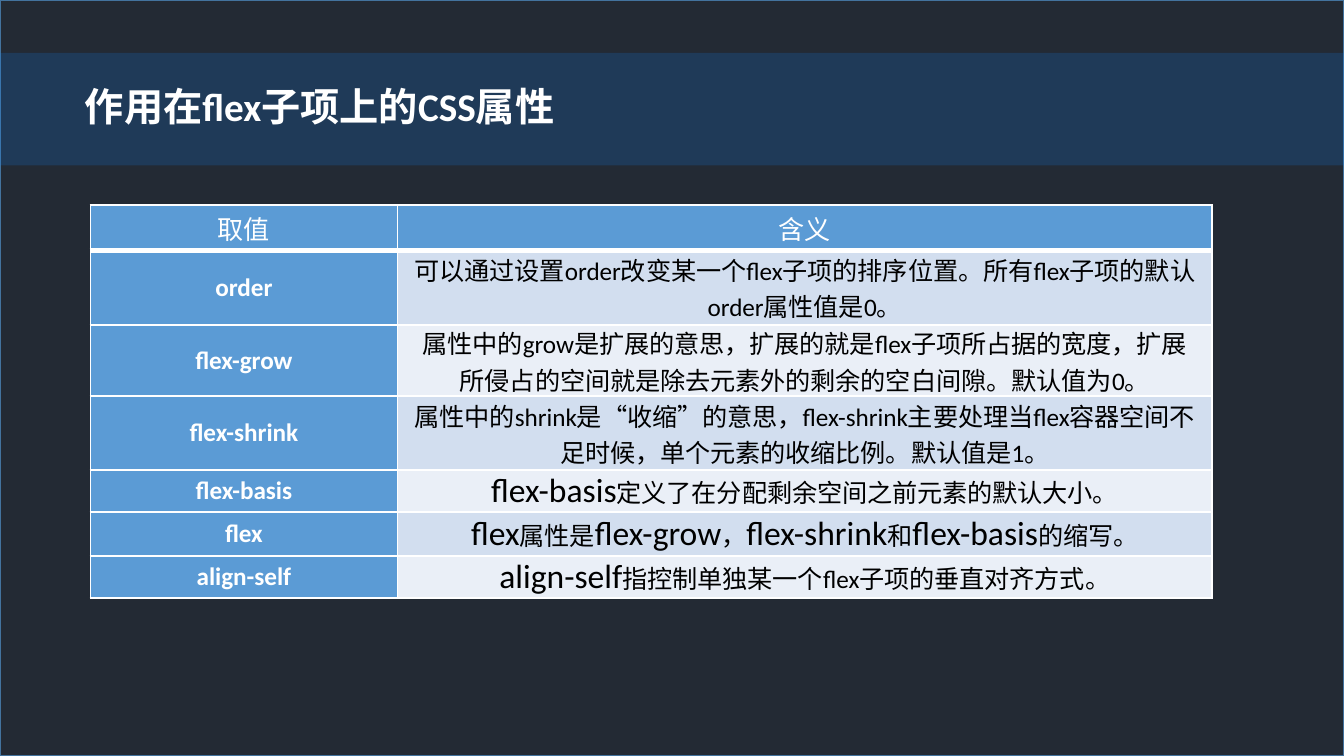
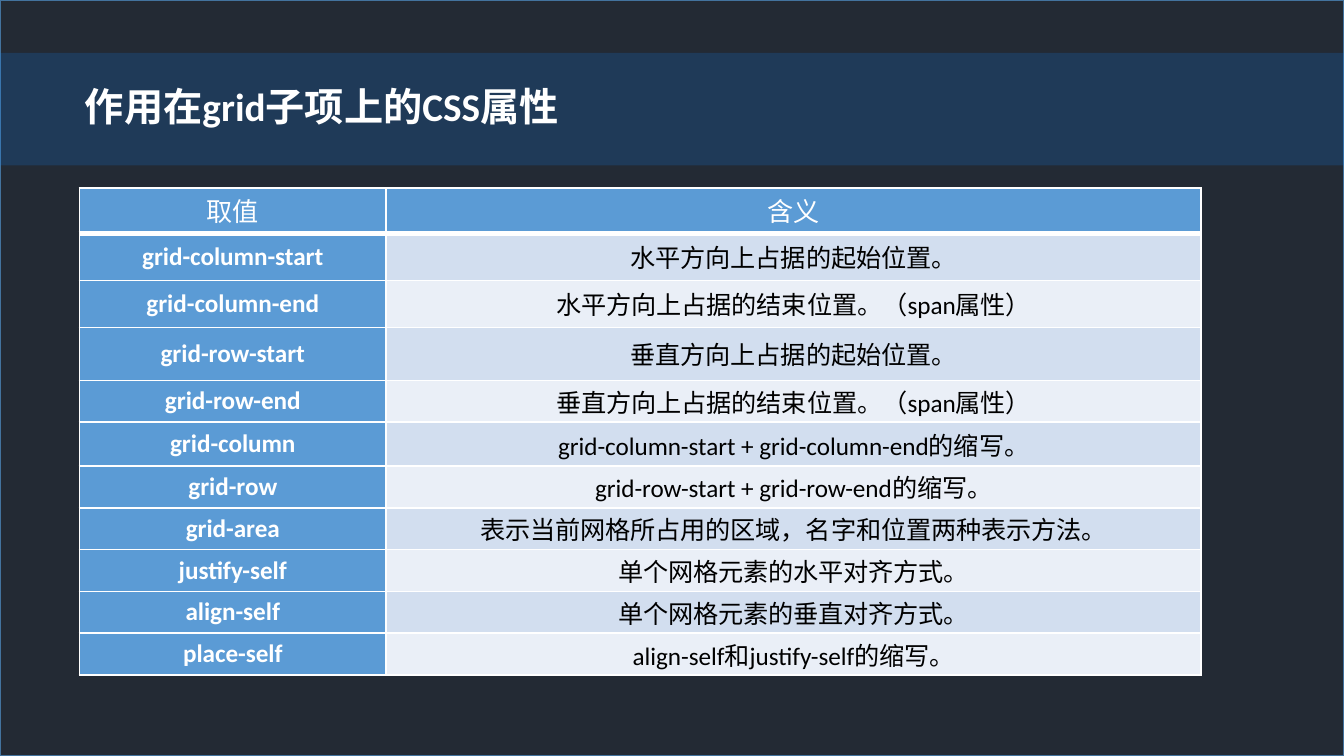
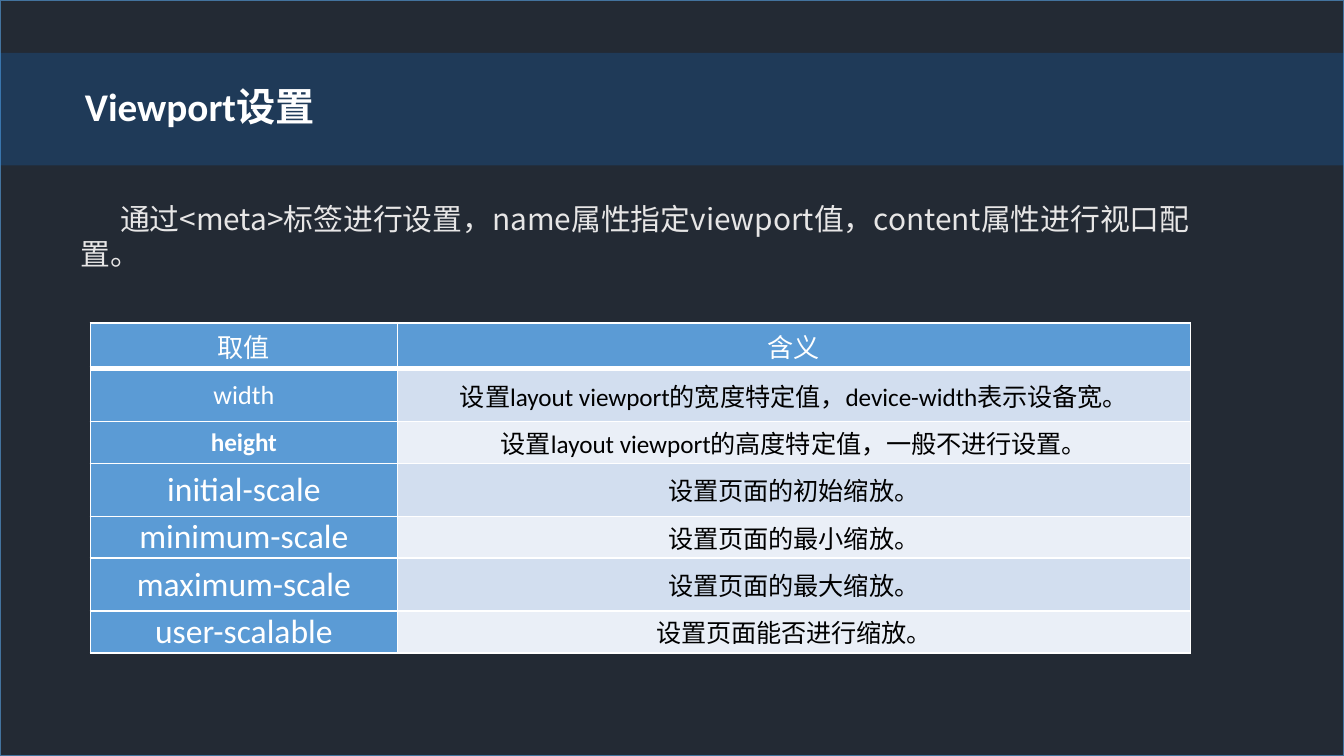
import pptx
import pptx.dml.color
import pptx.enum.lang
import pptx.enum.shapes
import pptx.enum.text
import pptx.oxml
import pptx.oxml.ns
import pptx.util
from lxml import etree

Cm = pptx.util.Cm
Pt = pptx.util.Pt

COLOURS = {
    "night": "232A34",
    "outline": "43739E",
    "band": "137EEC",
    "label": "5B9BD5",
    "odd": "D2DEEF",
    "even": "EAEFF7",
    "white": "FFFFFF",
    "black": "000000",
    "intro": "E7E6E6",
}
LATIN_FONT = "Calibri"
INTRO_FONT = "Noto Sans CJK SC"
WIDTH, HEIGHT = Cm(25.4), Cm(14.29)
TITLE_ONLY = 5
LABEL_WIDTH = 5.8
HEADER = ("取值", "含义")
HEADER_HEIGHT = 0.86
HEADER_SIZE, BODY_SIZE, TERM_SIZE = 14, 13.5, 18

# Labels that are not bold, with their sizes
PLAIN_LABELS = {
    "width": HEADER_SIZE,
    "initial-scale": TERM_SIZE,
    "minimum-scale": TERM_SIZE,
    "maximum-scale": TERM_SIZE,
    "user-scalable": TERM_SIZE,
}

# Lengths in cm. Rows are (height, label, meaning); a meaning given as a tuple
# alternates between large terms and body text.
PAGES = [
    {
        "title": "作用在flex子项上的CSS属性",
        "table_at": (1.71, 3.88),
        "meaning_width": 15.4,
        "rows": [
            (1.4, "order", "可以通过设置order改变某一个flex子项的排序位置。所有flex子项的默认order属性值是0。"),
            (1.35, "flex-grow", "属性中的grow是扩展的意思，扩展的就是flex子项所占据的宽度，扩展所侵占的空间就是除去元素外的剩余的空白间隙。默认值为0。"),
            (1.4, "flex-shrink", "属性中的shrink是“收缩”的意思，flex-shrink主要处理当flex容器空间不足时候，单个元素的收缩比例。默认值是1。"),
            (0.79, "flex-basis", ("flex-basis", "定义了在分配剩余空间之前元素的默认大小。")),
            (0.83, "flex", ("flex", "属性是", "flex-grow", "，", "flex-shrink", "和", "flex-basis", "的缩写。")),
            (0.79, "align-self", ("align-self", "指控制单独某一个flex子项的垂直对齐方式。")),
        ],
    },
    {
        "title": "作用在grid子项上的CSS属性",
        "table_at": (1.5, 3.55),
        "meaning_width": 15.4,
        "rows": [
            (0.89, "grid-column-start", "水平方向上占据的起始位置。"),
            (0.89, "grid-column-end", "水平方向上占据的结束位置。（span属性）"),
            (1, "grid-row-start", "垂直方向上占据的起始位置。"),
            (0.79, "grid-row-end", "垂直方向上占据的结束位置。（span属性）"),
            (0.83, "grid-column", "grid-column-start + grid-column-end的缩写。"),
            (0.79, "grid-row", "grid-row-start + grid-row-end的缩写。"),
            (0.79, "grid-area", "表示当前网格所占用的区域，名字和位置两种表示方法。"),
            (0.79, "justify-self", "单个网格元素的水平对齐方式。"),
            (0.79, "align-self", "单个网格元素的垂直对齐方式。"),
            (0.79, "place-self", "align-self和justify-self的缩写。"),
        ],
    },
    {
        "title": "Viewport设置",
        "intro": "通过<meta>标签进行设置，name属性指定viewport值，content属性进行视口配置。",
        "table_at": (1.71, 6.11),
        "meaning_width": 14.99,
        "rows": [
            (1, "width", "设置layout viewport的宽度特定值，device-width表示设备宽。"),
            (0.79, "height", "设置layout viewport的高度特定值，一般不进行设置。"),
            (1, "initial-scale", "设置页面的初始缩放。"),
            (0.79, "minimum-scale", "设置页面的最小缩放。"),
            (1, "maximum-scale", "设置页面的最大缩放。"),
            (0.79, "user-scalable", "设置页面能否进行缩放。"),
        ],
    },
]


def rgb(name):
    return pptx.dml.color.RGBColor.from_string(COLOURS[name])


def fill_with(target, name):
    target.fill.solid()
    target.fill.fore_color.rgb = rgb(name)


def style(span, size, colour, bold=False, font=LATIN_FONT):
    span.font.name = font
    span.font.size = Pt(size)
    span.font.bold = bold
    span.font.color.rgb = rgb(colour)
    span.font.language_id = pptx.enum.lang.MSO_LANGUAGE_ID.SIMPLIFIED_CHINESE


def add_block(page, top, height, colour):
    """Add a rectangle across the whole slide width."""
    block = page.shapes.add_shape(
        pptx.enum.shapes.MSO_SHAPE.RECTANGLE, 0, top, WIDTH, height)
    block.shadow.inherit = False
    fill_with(block, colour)
    return block


def add_frame(page, title):
    """Add the dark backdrop, the title band and the title on top of them."""
    backdrop = add_block(page, 0, HEIGHT, "night")
    backdrop.line.color.rgb = rgb("outline")
    backdrop.line.width = Pt(1)

    band = add_block(page, Cm(1), Cm(2.13), "band")
    band.line.fill.background()
    colour = band.element.find(".//" + pptx.oxml.ns.qn("a:srgbClr"))
    etree.SubElement(colour, pptx.oxml.ns.qn("a:alpha"), val="20000")

    box = page.shapes.title
    band.element.addnext(box.element)
    box.left, box.top, box.width, box.height = Cm(1.35), Cm(1.42), Cm(23.37), Cm(1.14)
    frame = box.text_frame
    frame.text = title
    frame.word_wrap = True
    frame.auto_size = pptx.enum.text.MSO_AUTO_SIZE.SHAPE_TO_FIT_TEXT
    frame.vertical_anchor = pptx.enum.text.MSO_ANCHOR.TOP
    para = frame.paragraphs[0]
    para.alignment = pptx.enum.text.PP_ALIGN.LEFT
    style(para.runs[0], 21, "white", bold=True)


def add_intro(page, text):
    box = page.shapes.add_textbox(Cm(1.27), Cm(3.66), Cm(21.77), Cm(3.18))
    box.text_frame.word_wrap = True
    para = box.text_frame.paragraphs[0]
    para.text = text
    para._p.get_or_add_pPr().set("indent", str(Cm(0.75)))
    style(para.runs[0], 16, "intro", font=INTRO_FONT)


def set_borders(cell, bottom):
    """Draw white borders, 1 pt except for the bottom one."""
    properties = cell._tc.get_or_add_tcPr()
    widths = {"lnL": 1, "lnR": 1, "lnT": 1, "lnB": bottom}
    for index, (side, width) in enumerate(widths.items()):
        line = pptx.oxml.parse_xml(
            f'<a:{side} {pptx.oxml.ns.nsdecls("a")} w="{Pt(width)}"><a:solidFill>'
            f'<a:srgbClr val="{COLOURS["white"]}"/></a:solidFill></a:{side}>')
        properties.insert(index, line)


def fill_cell(cell, parts, fill, colour, bold=False, bottom=1):
    """Write (text, size) parts centred in a filled cell."""
    fill_with(cell, fill)
    set_borders(cell, bottom)
    cell.margin_left = cell.margin_right = Cm(0.3)
    cell.margin_top = cell.margin_bottom = 0
    cell.vertical_anchor = pptx.enum.text.MSO_ANCHOR.MIDDLE
    para = cell.text_frame.paragraphs[0]
    para.alignment = pptx.enum.text.PP_ALIGN.CENTER
    for text, size in parts:
        span = para.add_run()
        span.text = text
        style(span, size, colour, bold)


def meaning_parts(meaning):
    if isinstance(meaning, str):
        return [(meaning, BODY_SIZE)]
    return [(text, BODY_SIZE if index % 2 else TERM_SIZE)
            for index, text in enumerate(meaning)]


def add_property_table(page, rows, table_at, meaning_width):
    heights = [HEADER_HEIGHT] + [row[0] for row in rows]
    widths = (LABEL_WIDTH, meaning_width)
    left, top = table_at
    table = page.shapes.add_table(
        len(heights), len(widths), Cm(left), Cm(top),
        Cm(sum(widths)), Cm(sum(heights))).table
    for column, width in zip(table.columns, widths):
        column.width = Cm(width)
    for row, height in zip(table.rows, heights):
        row.height = Cm(height)

    for column, text in enumerate(HEADER):
        fill_cell(table.cell(0, column), [(text, HEADER_SIZE)], "label", "white", bottom=3)
    for number, (_, label, meaning) in enumerate(rows, start=1):
        size = PLAIN_LABELS.get(label, BODY_SIZE)
        fill_cell(table.cell(number, 0), [(label, size)], "label", "white",
                  bold=label not in PLAIN_LABELS)
        fill_cell(table.cell(number, 1), meaning_parts(meaning),
                  "odd" if number % 2 else "even", "black")


def main():
    deck = pptx.Presentation()
    deck.slide_width, deck.slide_height = WIDTH, HEIGHT
    for content in PAGES:
        page = deck.slides.add_slide(deck.slide_layouts[TITLE_ONLY])
        add_frame(page, content["title"])
        if "intro" in content:
            add_intro(page, content["intro"])
        add_property_table(page, content["rows"], content["table_at"],
                           content["meaning_width"])
    deck.save("out.pptx")


if __name__ == "__main__":
    main()
